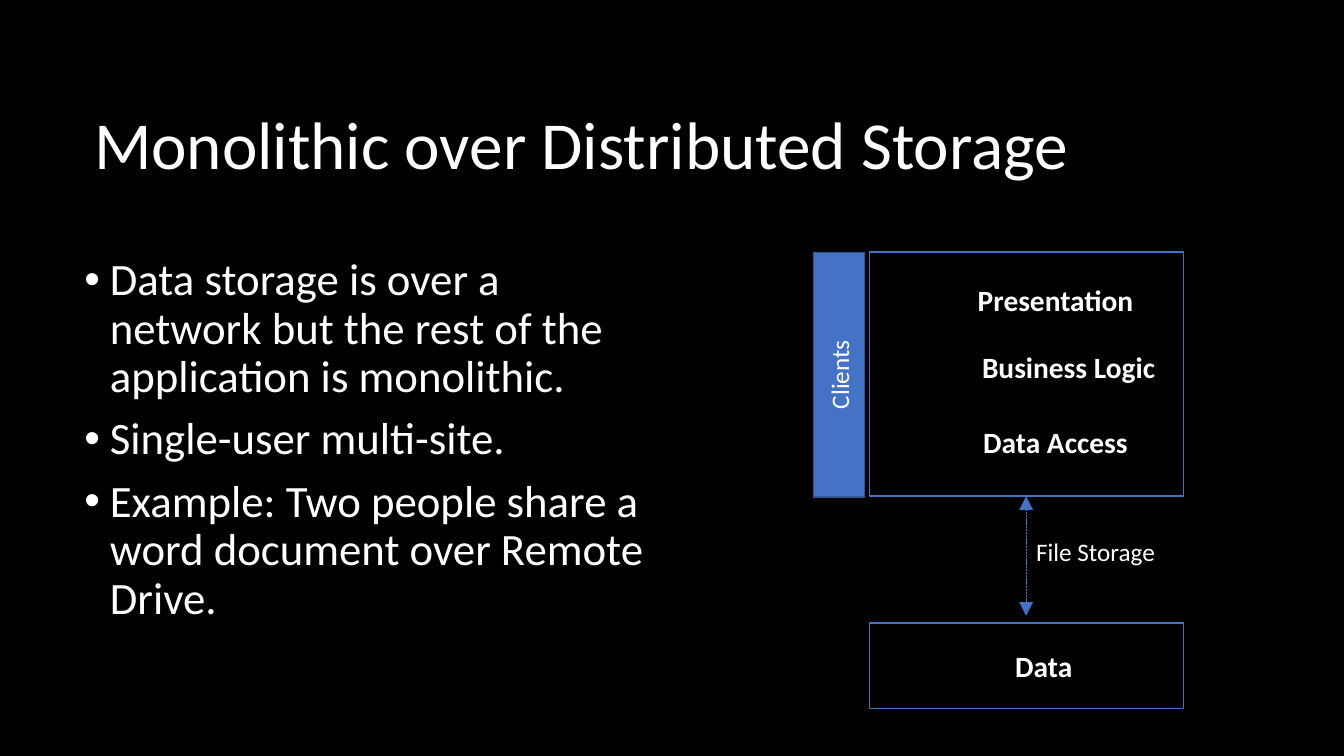
from lxml.etree import SubElement
from pptx import Presentation
from pptx.dml.color import RGBColor
from pptx.enum.dml import MSO_LINE
from pptx.enum.shapes import MSO_CONNECTOR, MSO_SHAPE
from pptx.enum.text import MSO_ANCHOR as Anchor, PP_ALIGN as Align
from pptx.oxml.ns import qn
from pptx.util import Cm, Pt

BLACK = RGBColor(0x00, 0x00, 0x00)
WHITE = RGBColor(0xFF, 0xFF, 0xFF)
BLUE = RGBColor(0x44, 0x72, 0xC4)
DARK_BLUE = RGBColor(0x32, 0x54, 0x91)

FONT = "Calibri"
POINTS = [
    "Data storage is over a network but the rest of the application is monolithic.",
    "Single-user multi-site.",
    "Example: Two people share a word document over Remote Drive.",
]
# Tier name, left, top, width
TIERS = [
    ("Presentation", 24.1, 7.21, 5),
    ("Business Logic", 24.43, 8.89, 5),
    ("Data Access", 24.1, 10.8, 5),
    ("Data", 23.93, 16.43, 4.75),
]


def format_runs(paragraph, size, bold=False):
    for run in paragraph.runs:
        run.font.name = FONT
        run.font.size = Pt(size)
        run.font.bold = bold
        run.font.color.rgb = WHITE


def add_text(slide, area, lines, size, bold=False, align=Align.LEFT,
             anchor=Anchor.TOP, spacing=0.9, wrap=True):
    box = slide.shapes.add_textbox(*map(Cm, area))
    frame = box.text_frame
    frame.word_wrap = wrap
    frame.vertical_anchor = anchor
    frame.text = "\n".join(lines)
    for paragraph in frame.paragraphs:
        paragraph.alignment = align
        paragraph.line_spacing = spacing
        format_runs(paragraph, size, bold)
    return frame


def add_bullets(slide, area, points):
    frame = add_text(slide, area, points, 32)
    for index, paragraph in enumerate(frame.paragraphs):
        if index:
            paragraph.space_before = Pt(10)
        properties = paragraph._p.get_or_add_pPr()
        properties.set("marL", str(Cm(0.64)))
        properties.set("indent", str(-Cm(0.64)))
        SubElement(properties, qn("a:buFont"), typeface="Arial")
        SubElement(properties, qn("a:buChar"), char="•")


def add_tier_label(slide, name, left, top, width):
    frame = add_text(slide, (left, top, width, 0.76), [name], 21,
                     bold=True, align=Align.CENTER)
    frame.margin_left = frame.margin_right = 0
    frame.margin_top = frame.margin_bottom = 0


def add_box(slide, area, line, fill=None):
    box = slide.shapes.add_shape(MSO_SHAPE.RECTANGLE, *map(Cm, area))
    box.shadow.inherit = False
    box.line.color.rgb = line
    box.line.width = Pt(1)
    if fill is None:
        box.fill.background()
    else:
        box.fill.solid()
        box.fill.fore_color.rgb = fill
    return box


def add_clients_bar(slide):
    clients = add_box(slide, (18.06, 8.79, 6.17, 1.3), DARK_BLUE, BLUE)
    clients.rotation = 270
    frame = clients.text_frame
    frame.text = "Clients"
    frame.vertical_anchor = Anchor.MIDDLE
    frame.paragraphs[0].alignment = Align.CENTER
    format_runs(frame.paragraphs[0], 18)


def add_double_arrow(slide, x, top, bottom):
    arrow = slide.shapes.add_connector(
        MSO_CONNECTOR.STRAIGHT, Cm(x), Cm(top), Cm(x), Cm(bottom))
    arrow.line.color.rgb = BLUE
    arrow.line.width = Pt(0.5)
    arrow.line.dash_style = MSO_LINE.SQUARE_DOT
    outline = arrow.line._get_or_add_ln()
    for end in ("a:headEnd", "a:tailEnd"):
        SubElement(outline, qn(end), type="triangle", w="lg", len="lg")
    SubElement(arrow._element.spPr, qn("a:effectLst"))


def main():
    prs = Presentation()
    prs.slide_width, prs.slide_height = Cm(33.87), Cm(19.05)
    slide = prs.slides.add_slide(prs.slide_layouts[6])
    slide.background.fill.solid()
    slide.background.fill.fore_color.rgb = BLACK

    # Title and points
    add_text(slide, (2.12, 1.63, 28.8, 4.17),
             ["Monolithic over Distributed Storage"], 48, anchor=Anchor.MIDDLE)
    add_bullets(slide, (1.88, 6.35, 14.78, 11.18), POINTS)

    # Application and data boxes with their tiers
    add_box(slide, (21.92, 6.35, 7.9, 6.15), BLUE)
    add_box(slide, (21.92, 15.7, 7.9, 2.16), BLUE)
    for tier in TIERS:
        add_tier_label(slide, *tier)

    # Link between application and data
    add_double_arrow(slide, 25.86, 12.5, 15.52)
    add_text(slide, (25.86, 13.39, 3.61, 1.02), ["File Storage"], 18,
             spacing=1.0, wrap=False)

    add_clients_bar(slide)
    prs.save("out.pptx")


if __name__ == "__main__":
    main()
